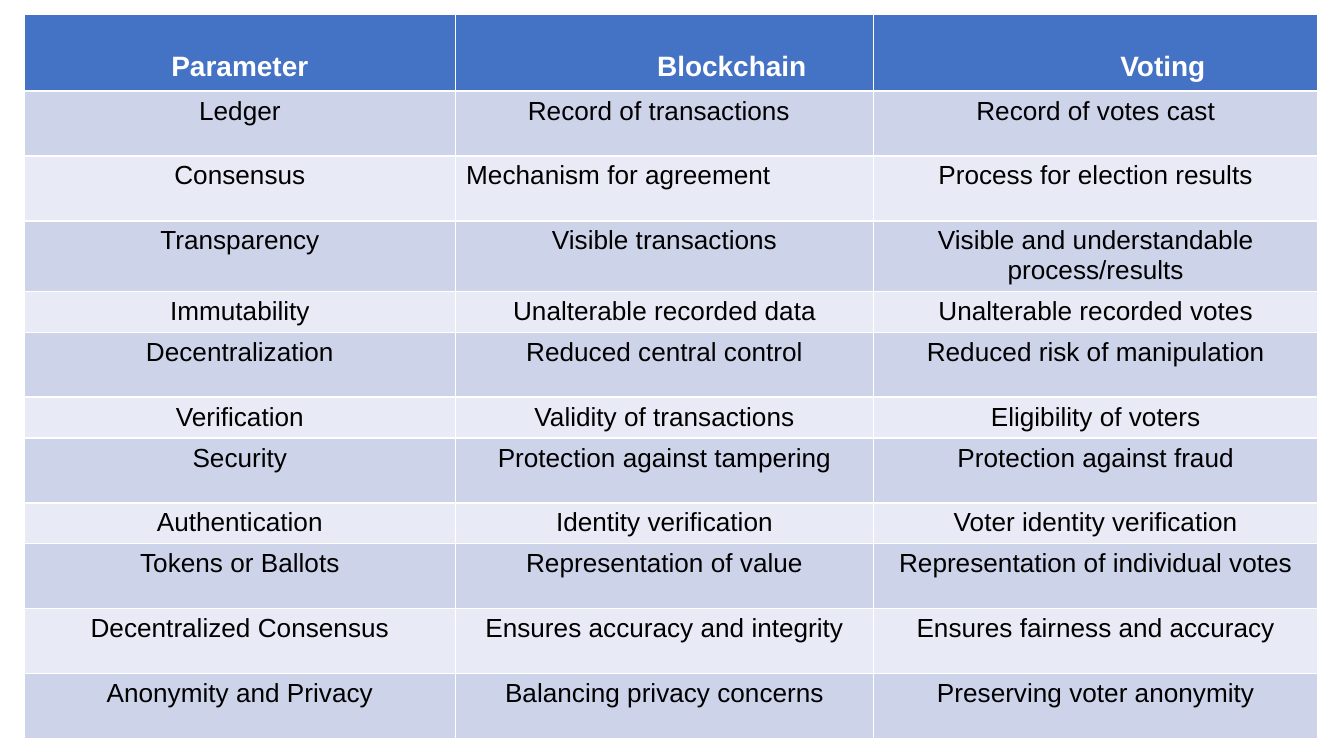
"""Build a slide with a table that compares blockchain and voting concepts."""
from dataclasses import dataclass

from pptx import Presentation
from pptx.dml.color import RGBColor
from pptx.enum.text import MSO_ANCHOR as Anchor, PP_ALIGN as Align
from pptx.table import _Cell as Cell
from pptx.util import Pt

WHITE = RGBColor(0xFF, 0xFF, 0xFF)
BLACK = RGBColor(0x00, 0x00, 0x00)
HEADER_BLUE = RGBColor(0x44, 0x72, 0xC4)
BAND_DARK = RGBColor(0xCD, 0xD4, 0xEA)
BAND_LIGHT = RGBColor(0xE8, 0xEB, 0xF5)

SIDE_MARGIN = 5.76
END_MARGIN = 2.88
HEADER_SHIFT = 72
SHORT, TALL, WRAPPED, HEADER_HEIGHT = 21.8, 34.8, 38, 41.2
COLUMN_WIDTHS = (231, 224, 238)
HEADERS = ("Parameter", "Blockchain", "Voting")


@dataclass(frozen=True)
class Comparison:
    parameter: str
    blockchain: str
    voting: str
    height: float = TALL
    blockchain_align: Align = Align.CENTER
    blockchain_inset: float = 0


COMPARISONS = (
    Comparison("Ledger", "Record of transactions", "Record of votes cast", blockchain_inset=6),
    Comparison("Consensus", "Mechanism for agreement", "Process for election results",
               blockchain_align=Align.LEFT),
    Comparison("Transparency", "Visible transactions",
               "Visible and understandable process/results", WRAPPED),
    Comparison("Immutability", "Unalterable recorded data", "Unalterable recorded votes", SHORT),
    Comparison("Decentralization", "Reduced central control", "Reduced risk of manipulation"),
    Comparison("Verification", "Validity of transactions", "Eligibility of voters", SHORT),
    Comparison("Security", "Protection against tampering", "Protection against fraud"),
    Comparison("Authentication", "Identity verification", "Voter identity verification", SHORT),
    Comparison("Tokens or Ballots", "Representation of value",
               "Representation of individual votes"),
    Comparison("Decentralized Consensus", "Ensures accuracy and integrity",
               "Ensures fairness and accuracy"),
    Comparison("Anonymity and Privacy", "Balancing privacy concerns",
               "Preserving voter anonymity"),
)


def write_cell(cell: Cell, text: str, *, fill: RGBColor, color: RGBColor = BLACK,
               size: float = 14, bold: bool = False, align: Align = Align.CENTER,
               anchor: Anchor = Anchor.TOP, left: float = 0, right: float = 0,
               bottom: float = 0) -> None:
    cell.fill.solid()
    cell.fill.fore_color.rgb = fill
    cell.margin_left = Pt(SIDE_MARGIN + left)
    cell.margin_right = Pt(SIDE_MARGIN + right)
    cell.margin_top = Pt(END_MARGIN)
    cell.margin_bottom = Pt(END_MARGIN + bottom)
    cell.vertical_anchor = anchor
    paragraph = cell.text_frame.paragraphs[0]
    paragraph.alignment = align
    run = paragraph.add_run()
    run.text = text
    run.font.name = "Arial"
    run.font.size = Pt(size)
    run.font.bold = bold
    run.font.color.rgb = color


def main() -> None:
    presentation = Presentation()
    presentation.slide_width, presentation.slide_height = Pt(720), Pt(405)
    slide = presentation.slides.add_slide(presentation.slide_layouts[6])

    heights = (HEADER_HEIGHT, *(comparison.height for comparison in COMPARISONS))
    table = slide.shapes.add_table(len(heights), len(COLUMN_WIDTHS), Pt(13), Pt(7.5),
                                   Pt(sum(COLUMN_WIDTHS)), Pt(sum(heights))).table
    for column, width in zip(table.columns, COLUMN_WIDTHS):
        column.width = Pt(width)
    for row, height in zip(table.rows, heights):
        row.height = Pt(height)

    for index, header in enumerate(HEADERS):
        write_cell(table.cell(0, index), header, fill=HEADER_BLUE, color=WHITE, size=15,
                   bold=True, anchor=Anchor.BOTTOM, left=HEADER_SHIFT if index else 0,
                   bottom=1.5)

    for index, comparison in enumerate(COMPARISONS, start=1):
        fill = BAND_DARK if index % 2 else BAND_LIGHT
        write_cell(table.cell(index, 0), comparison.parameter, fill=fill)
        write_cell(table.cell(index, 1), comparison.blockchain, fill=fill,
                   align=comparison.blockchain_align, right=comparison.blockchain_inset)
        write_cell(table.cell(index, 2), comparison.voting, fill=fill)

    presentation.save("out.pptx")


if __name__ == "__main__":
    main()
